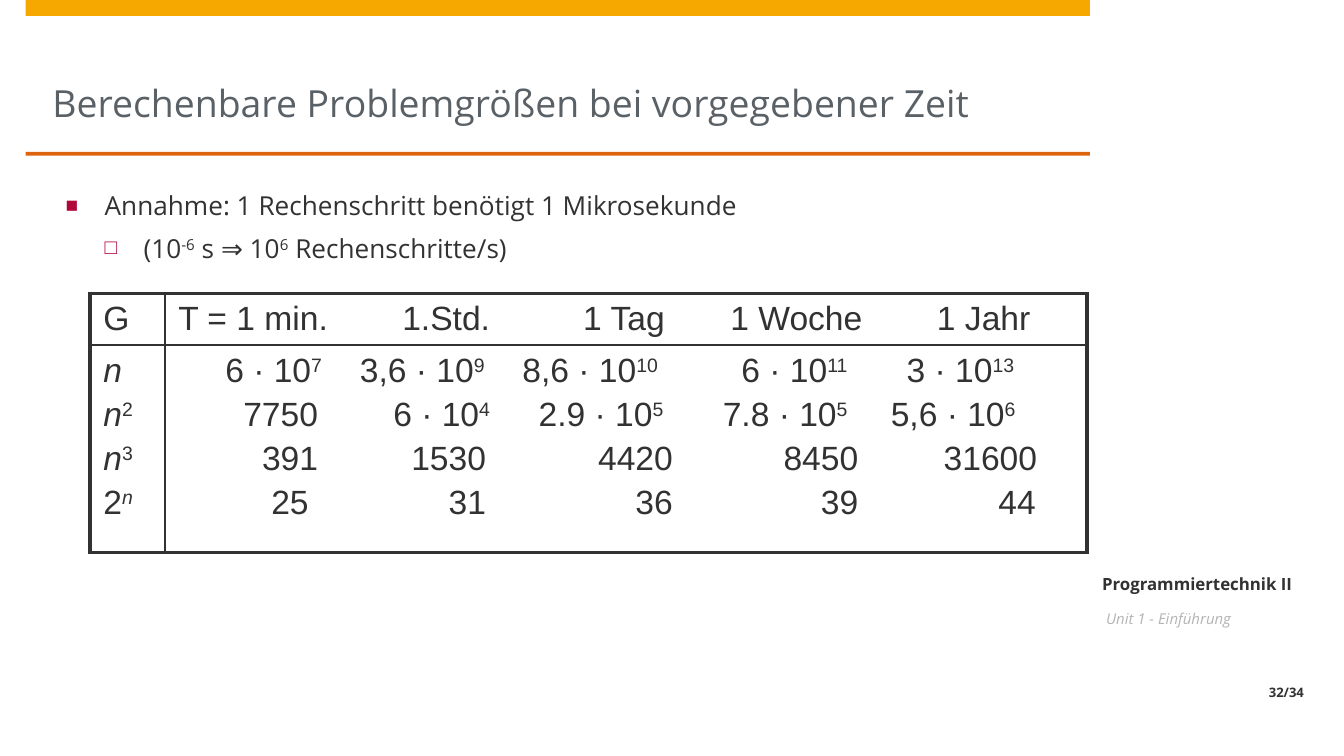
from collections import namedtuple

from lxml import etree
from pptx import Presentation
from pptx.dml.color import RGBColor
from pptx.enum.shapes import MSO_SHAPE
from pptx.enum.text import MSO_ANCHOR, PP_ALIGN
from pptx.oxml.ns import qn
from pptx.util import Inches, Pt

RECTANGLE = MSO_SHAPE.RECTANGLE
TOP, BOTTOM = MSO_ANCHOR.TOP, MSO_ANCHOR.BOTTOM
LEFT, CENTER, RIGHT = PP_ALIGN.LEFT, PP_ALIGN.CENTER, PP_ALIGN.RIGHT

YELLOW = RGBColor(0xF6, 0xA8, 0x00)
ORANGE = RGBColor(0xDD, 0x64, 0x0C)
CRIMSON = RGBColor(0xB1, 0x06, 0x3A)
INK = RGBColor(0x32, 0x32, 0x32)
SLATE = RGBColor(0x5A, 0x61, 0x66)
SILVER = RGBColor(0xB4, 0xB4, 0xB4)

BODY_FONT, TABLE_FONT = "Open Sans", "Arial"
THICK, THIN = 2.25, 1

# The slide is a grid of 100 columns by 100 rows; boxes are given in its units.
SLIDE_WIDTH = Inches(10)
SLIDE_HEIGHT = SLIDE_WIDTH * 9 // 16
COLUMN, ROW = SLIDE_WIDTH / 100, SLIDE_HEIGHT / 100
Box = namedtuple("Box", "left top width height")

# Markup in texts: ^raised^ and _italic_. Each row lists the right edge of its
# entries, in columns from the start of the cell text.
GROWTH_RATES = ["_n_", "_n_^2^", "_n_^3^", "2^_n_^"]
TIMES = (["T = 1 min.", "1.Std.", "1 Tag", "1 Woche", "1 Jahr"],
         [11, 23.2, 36.2, 50.9, 63.4])
PROBLEM_SIZES = [
    (["6 · 10^7^", "3,6 · 10^9^", "8,6 · 10^10^", "6 · 10^11^", "3 · 10^13^"],
     [10.7, 22.8, 35.7, 49.8, 62.2]),
    (["7750", "6 · 10^4^", "2.9 · 10^5^", "7.8 · 10^5^", "5,6 · 10^6^"],
     [10.4, 23.2, 36.1, 49.8, 62.3]),
    (["391", "1530", "4420", "8450", "31600"],
     [10.4, 22.9, 36.8, 50.6, 63.9]),
    (["25", "31", "36", "39", "44"],
     [9.7, 22.9, 36.8, 50.6, 63.8]),
]


def to_emu(box):
    return (round(box.left * COLUMN), round(box.top * ROW),
            round(box.width * COLUMN), round(box.height * ROW))


def add_element(parent, tag, **attributes):
    element = etree.SubElement(parent, qn(tag))
    for name, value in attributes.items():
        element.set(name, str(value))
    return element


def write_paragraph(frame, text, size=14, font=BODY_FONT, color=INK, bold=False,
                    italic=False, align=LEFT, before=3, after=3):
    """Write marked-up text into the first empty paragraph, or a new one."""
    paragraph = frame.paragraphs[0]
    if paragraph.runs:
        paragraph = frame.add_paragraph()
    paragraph.alignment = align
    paragraph.space_before, paragraph.space_after = Pt(before), Pt(after)
    for raised, part in enumerate(text.split("^")):
        for slanted, piece in enumerate(part.split("_")):
            if not piece:
                continue
            run = paragraph.add_run()
            run.text = piece
            run.font.name, run.font.size = font, Pt(size)
            run.font.bold = bold
            run.font.italic = italic or slanted % 2 == 1
            run.font.color.rgb = color
            if raised % 2:
                run._r.get_or_add_rPr().set("baseline", "30000")
    return paragraph


def add_frame(slide, box, insets=(0.1, 0.05, 0.1, 0.05), anchor=TOP):
    frame = slide.shapes.add_textbox(*to_emu(box)).text_frame
    frame.word_wrap = True
    frame.vertical_anchor = anchor
    (frame.margin_left, frame.margin_top,
     frame.margin_right, frame.margin_bottom) = map(Inches, insets)
    return frame


def add_bar(slide, box, color):
    bar = slide.shapes.add_shape(RECTANGLE, *to_emu(box))
    bar.shadow.inherit = False
    bar.fill.solid()
    bar.fill.fore_color.rgb = color
    bar.line.fill.background()


def add_header(slide, box):
    add_bar(slide, box._replace(height=2.1), YELLOW)
    add_bar(slide, Box(box.left, box.top + box.height - 0.5, box.width, 0.5), ORANGE)
    title = add_frame(slide, Box(box.left + 2, box.top + 2.1, box.width - 4,
                                 box.height - 2.6), (0, 0, 0, 0.2), BOTTOM)
    write_paragraph(title, "Berechenbare Problemgrößen bei vorgegebener Zeit",
                    size=20, color=SLATE, before=0, after=0)


def add_assumption(slide, box):
    frame = add_frame(slide, box)
    items = [("■", "Annahme: 1 Rechenschritt benötigt 1 Mikrosekunde"),
             ("□", "(10^-6^ s ⇒ 10^6^ Rechenschritte/s)")]
    indent = Inches(0.29)
    for level, (bullet, text) in enumerate(items):
        paragraph = write_paragraph(frame, text)
        paragraph.level = level
        properties = paragraph._p.get_or_add_pPr()
        properties.set("marL", str(indent * (level + 1)))
        properties.set("indent", str(-indent))
        add_element(add_element(properties, "a:buClr"), "a:srgbClr", val=CRIMSON)
        add_element(properties, "a:buSzPct", val=80000)
        add_element(properties, "a:buFont", typeface=TABLE_FONT)
        add_element(properties, "a:buChar", char=bullet)


def set_borders(cell, left, right, top, bottom):
    properties = cell._tc.get_or_add_tcPr()
    widths = {"a:lnL": left, "a:lnR": right, "a:lnT": top, "a:lnB": bottom}
    for position, (tag, width) in enumerate(widths.items()):
        line = add_element(properties, tag, w=Pt(width))
        add_element(add_element(line, "a:solidFill"), "a:srgbClr", val=INK)
        properties.insert(position, line)


def write_cell_line(cell, text):
    return write_paragraph(cell.text_frame, text, size=18, font=TABLE_FONT,
                           before=3.5, after=0)


def write_aligned_line(cell, entries, right_edges):
    paragraph = write_cell_line(cell, "".join("\t" + entry for entry in entries))
    tabs = add_element(paragraph._p.get_or_add_pPr(), "a:tabLst")
    for edge in right_edges:
        add_element(tabs, "a:tab", pos=round(edge * COLUMN), algn="r")


def add_size_table(slide, box):
    table = slide.shapes.add_table(2, 2, *to_emu(box)).table
    table.first_row = table.horz_banding = False
    for column, share in zip(table.columns, (0.075, 0.925)):
        column.width = round(box.width * share * COLUMN)
    for row, share in zip(table.rows, (0.2, 0.8)):
        row.height = round(box.height * share * ROW)
    for index, cell in enumerate(table.iter_cells()):
        lower, right = divmod(index, 2)
        cell.margin_bottom = 0
        cell.fill.background()
        set_borders(cell, THIN if right else THICK, THICK if right else THIN,
                    THIN if lower else THICK, THICK if lower else THIN)
    write_cell_line(table.cell(0, 0), "G")
    write_aligned_line(table.cell(0, 1), *TIMES)
    for rate, (sizes, right_edges) in zip(GROWTH_RATES, PROBLEM_SIZES):
        write_cell_line(table.cell(1, 0), rate)
        write_aligned_line(table.cell(1, 1), sizes, right_edges)


def add_course_panel(slide, box):
    course = add_frame(slide, box._replace(height=10.1), (0, 0, 0.1, 0.05), BOTTOM)
    write_paragraph(course, "Programmiertechnik II", size=9, bold=True, align=CENTER)
    insets = (0.12, 0, 0.1, 0.05)
    unit = add_frame(slide, box._replace(top=box.top + 11.4, height=9.2), insets)
    write_paragraph(unit, "Unit 1 - Einführung", size=8, color=SILVER, italic=True)
    page = add_frame(slide, box._replace(top=box.top + box.height - 3.6, height=3.6),
                     insets, BOTTOM)
    write_paragraph(page, "32/34", size=7, bold=True, align=RIGHT)


def main():
    presentation = Presentation()
    presentation.slide_width, presentation.slide_height = SLIDE_WIDTH, SLIDE_HEIGHT
    slide = presentation.slides.add_slide(presentation.slide_layouts[6])
    add_header(slide, Box(1.9, 0, 79.2, 20.6))
    add_course_panel(slide, Box(81.1, 69.3, 16.9, 24.2))
    add_assumption(slide, Box(3.9, 24.2, 75.2, 69.3))
    add_size_table(slide, Box(6.7, 38.8, 74.2, 34.3))
    presentation.save("out.pptx")


if __name__ == "__main__":
    main()
